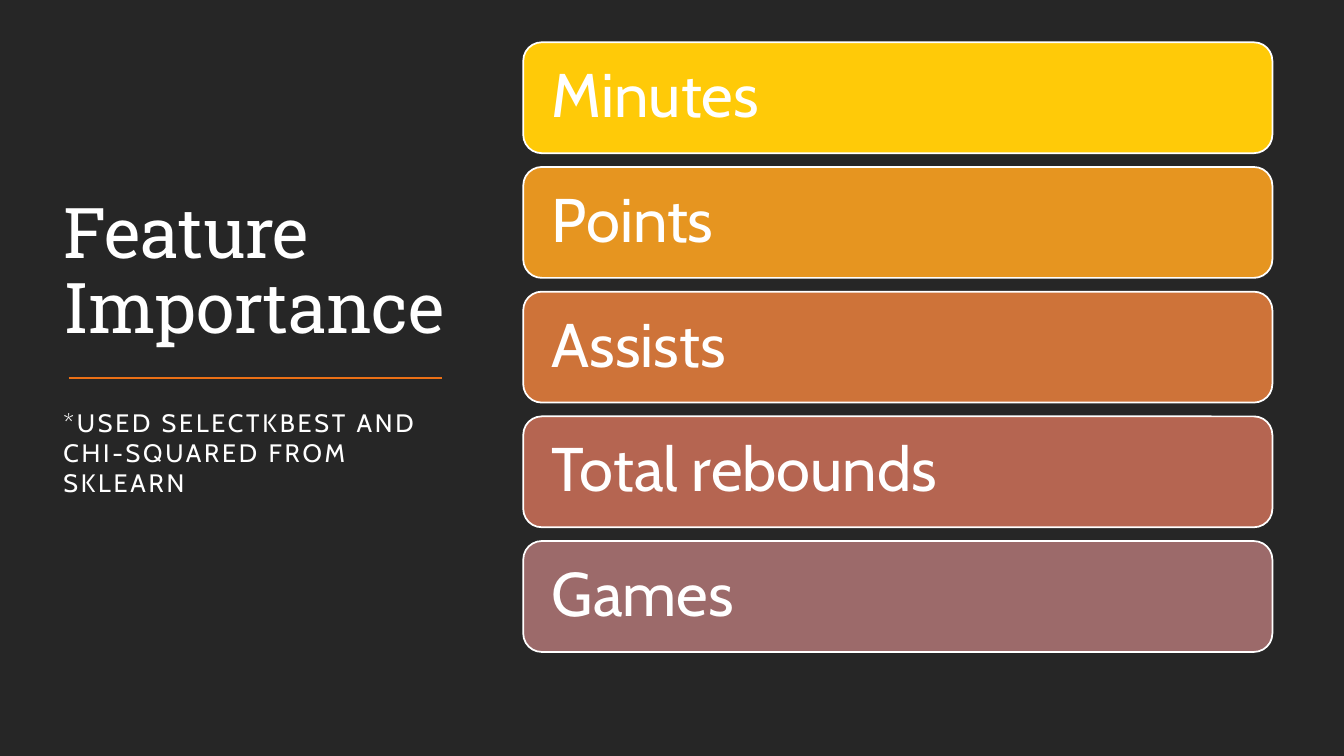
from pptx import Presentation
from pptx.dml.color import RGBColor
from pptx.enum.shapes import MSO_CONNECTOR, MSO_SHAPE
from pptx.enum.text import MSO_ANCHOR, PP_ALIGN
from pptx.oxml.ns import qn
from pptx.util import Inches, Pt
from lxml.etree import SubElement

# Content
TITLE = "Feature Importance"
NOTE = "*USED SELECTKBEST AND CHI-SQUARED FROM SKLEARN"
FEATURES = [
    ("Minutes", "FFCA08"),
    ("Points", "E69520"),
    ("Assists", "CE7339"),
    ("Total rebounds", "B56551"),
    ("Games", "9C6A6A"),
]
BACKGROUND, WHITE, ACCENT = "262626", "FFFFFF", "EC7016"

# Layout in inches
TEXT_LEFT, TEXT_WIDTH = 0.53, 4
BAR_LEFT, BAR_TOP, BAR_WIDTH, BAR_HEIGHT = 5.19, 0.42, 7.43, 1.1
BAR_STEP = 1.237
BAR_INSETS = {
    "margin_left": Inches(0.23), "margin_right": Inches(0.23),
    "margin_top": Inches(0.18), "margin_bottom": Inches(0.18),
}

# Text formats
TITLE_FONT = {"name": "Roboto Slab", "size": Pt(50)}
NOTE_FONT = {"name": "Cabin", "size": Pt(18)}
BAR_FONT = {"name": "Cabin", "size": Pt(44)}


def color(hex_value):
    return RGBColor.from_string(hex_value)


def write(shape, text, font, anchor, line_spacing=1.0, letter_spacing=0, insets=None):
    frame = shape.text_frame
    frame_format = {"word_wrap": True, "vertical_anchor": anchor, **(insets or {})}
    for name, value in frame_format.items():
        setattr(frame, name, value)
    para = frame.paragraphs[0]
    para.alignment = PP_ALIGN.LEFT
    para.line_spacing = line_spacing
    span = para.add_run()
    span.text = text
    for name, value in font.items():
        setattr(span.font, name, value)
    span.font.color.rgb = color(WHITE)
    if letter_spacing:
        span.font._element.set("spc", str(int(letter_spacing * 100)))


def add_text(page, top, height, *text_format):
    box = page.shapes.add_textbox(
        Inches(TEXT_LEFT), Inches(top), Inches(TEXT_WIDTH), Inches(height))
    write(box, *text_format)


def add_bar(page, index, label, fill):
    bar = page.shapes.add_shape(
        MSO_SHAPE.ROUNDED_RECTANGLE, Inches(BAR_LEFT),
        Inches(BAR_TOP + index * BAR_STEP), Inches(BAR_WIDTH), Inches(BAR_HEIGHT))
    bar.shadow.inherit = False
    bar.fill.solid()
    bar.fill.fore_color.rgb = color(fill)
    bar.line.color.rgb = color(WHITE)
    bar.line.width = Pt(1.25)
    write(bar, label, BAR_FONT, MSO_ANCHOR.MIDDLE, 0.9, insets=BAR_INSETS)


def main():
    deck = Presentation()
    deck.slide_width, deck.slide_height = Inches(13.33), Inches(7.5)
    page = deck.slides.add_slide(deck.slide_layouts[6])
    page.background.fill.solid()
    page.background.fill.fore_color.rgb = color(BACKGROUND)

    # Title, rule and note on the left
    add_text(page, 0.7, 2.81, TITLE, TITLE_FONT, MSO_ANCHOR.BOTTOM, 0.9, -0.5)
    rule = page.shapes.add_connector(
        MSO_CONNECTOR.STRAIGHT, Inches(0.68), Inches(3.75), Inches(4.38), Inches(3.75))
    rule.line.color.rgb = color(ACCENT)
    rule.line.width = Pt(1.5)
    SubElement(rule._element.spPr, qn("a:effectLst"))
    add_text(page, 3.99, 2.75, NOTE, NOTE_FONT, MSO_ANCHOR.TOP, 1.0, 2)

    # Ranked feature bars on the right
    for index, (label, fill) in enumerate(FEATURES):
        add_bar(page, index, label, fill)

    deck.save("out.pptx")


if __name__ == "__main__":
    main()
